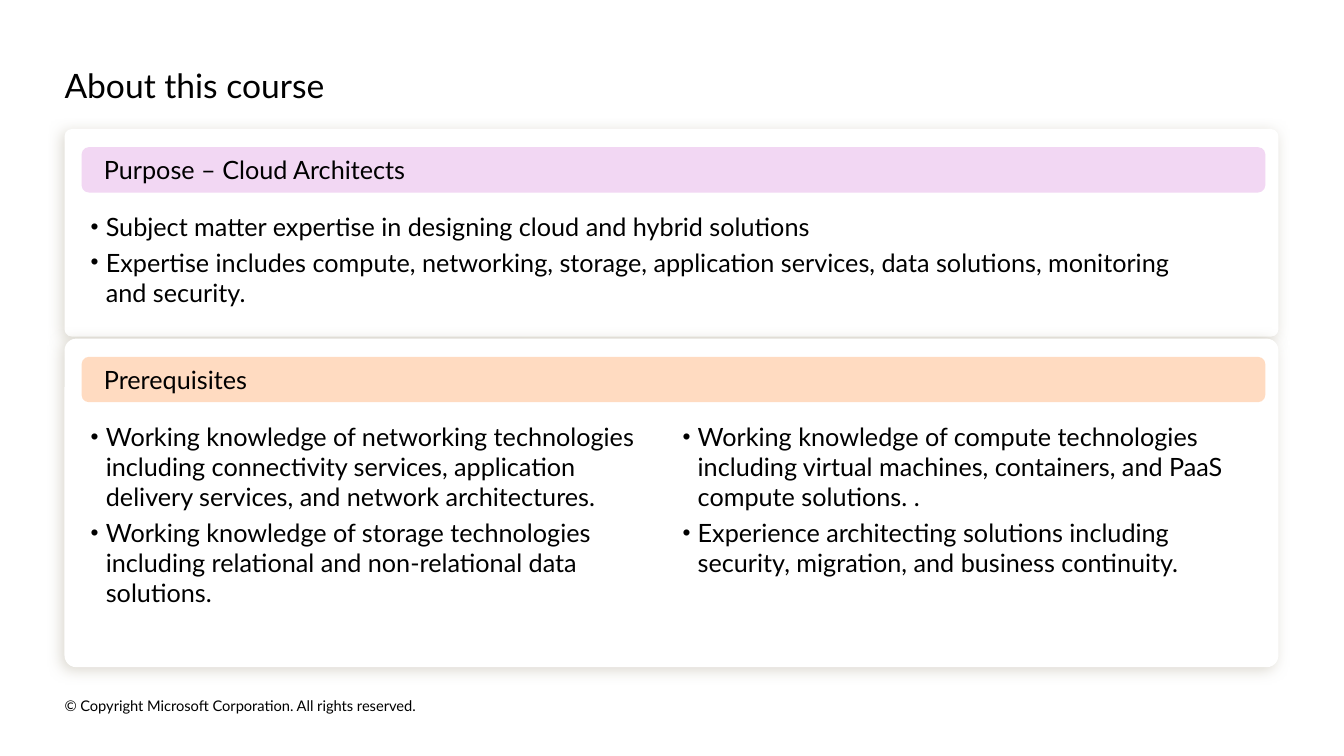
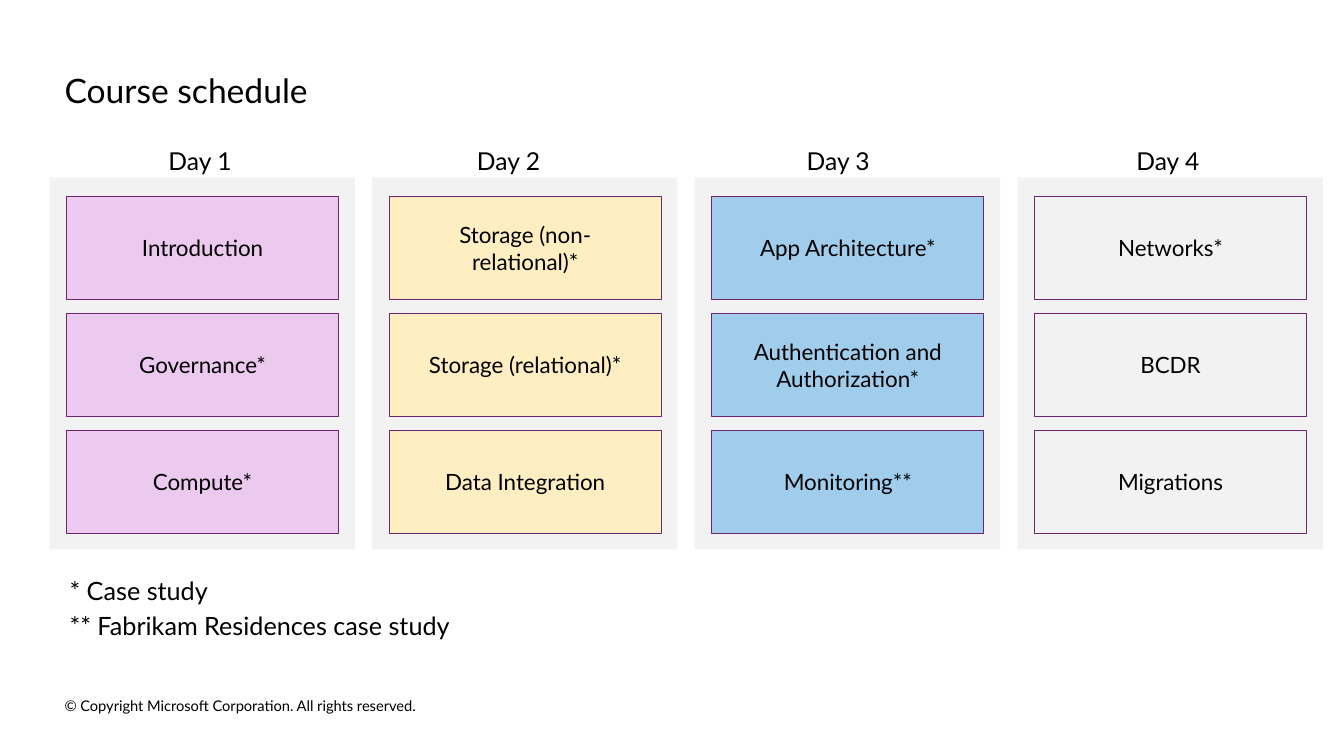
import lxml.etree
import pptx
import pptx.dml.color
import pptx.enum.shapes
import pptx.enum.text
import pptx.oxml
import pptx.oxml.ns
import pptx.util

RGBColor = pptx.dml.color.RGBColor
Shape = pptx.enum.shapes.MSO_SHAPE
Align = pptx.enum.text.PP_ALIGN
Anchor = pptx.enum.text.MSO_ANCHOR
qn = pptx.oxml.ns.qn

BLACK = RGBColor(0x00, 0x00, 0x00)
WHITE = RGBColor(0xFF, 0xFF, 0xFF)
GREY = RGBColor(0xF2, 0xF2, 0xF2)
PURPLE = RGBColor(0x70, 0x25, 0x73)
LILAC = RGBColor(0xEC, 0xC9, 0xEE)
PALE_LILAC = RGBColor(0xF2, 0xD7, 0xF3)
PEACH = RGBColor(0xFF, 0xDB, 0xC1)
CREAM = RGBColor(0xFE, 0xEE, 0xC1)
BLUE = RGBColor(0xA0, 0xCD, 0xEC)
SHADOW = RGBColor(0xCA, 0xC5, 0xB8)

FONT = "Lato"
COLUMNS, ROWS = 133.3, 75
CELL = pptx.util.Inches(0.1)
MARGIN = 6.4
PADDING = (2, 1.6)
FOOTER = "© Copyright Microsoft Corporation. All rights reserved."


def cells(count):
    return round(count * CELL)


def add_bullet(para):
    properties = para._p.get_or_add_pPr()
    properties.set("marL", str(cells(1.5)))
    properties.set("indent", str(cells(-1.5)))
    for tag, name, value in (
        ("a:buSzPct", "val", "90000"),
        ("a:buFont", "typeface", "Arial"),
        ("a:buChar", "char", "•"),
    ):
        lxml.etree.SubElement(properties, qn(tag)).set(name, value)


def write_text(frame, text, size=18, align=Align.LEFT, anchor=Anchor.TOP,
               padding=(0, 0), wrap=True, bullet=False,
               before=0, after=0, spacing=None):
    frame.word_wrap = wrap
    frame.vertical_anchor = anchor
    frame.margin_left = frame.margin_right = cells(padding[0])
    frame.margin_top = frame.margin_bottom = cells(padding[1])
    for index, line in enumerate(text.split("\n")):
        para = frame.add_paragraph() if index else frame.paragraphs[0]
        if bullet:
            add_bullet(para)
        para.alignment = align
        para.line_spacing = spacing
        para.space_before = pptx.util.Pt(before if index else 0)
        para.space_after = pptx.util.Pt(after)
        span = para.add_run()
        span.text = line
        span.font.name = FONT
        span.font.size = pptx.util.Pt(size)
        span.font.color.rgb = BLACK


class CourseDeck:
    def __init__(self):
        self.deck = pptx.Presentation()
        self.deck.slide_width = cells(COLUMNS)
        self.deck.slide_height = cells(ROWS)
        self.page = None

    def add_page(self, title, title_top=6.4):
        self.page = self.deck.slides.add_slide(self.deck.slide_layouts[6])
        self.add_text(title, MARGIN, title_top, 89.6, 4, size=24)
        self.add_text(FOOTER, MARGIN, 69.1, 67.7, 1.8, size=10.5)

    def add_text(self, text, left, top, width, height, **style):
        box = self.page.shapes.add_textbox(*map(cells, (left, top, width, height)))
        write_text(box.text_frame, text, **style)

    def add_block(self, left, top, width, height, fill, line=None, rounding=None):
        kind = Shape.RECTANGLE if rounding is None else Shape.ROUNDED_RECTANGLE
        block = self.page.shapes.add_shape(kind, *map(cells, (left, top, width, height)))
        block.shadow.inherit = False
        block.fill.solid()
        block.fill.fore_color.rgb = fill
        if rounding is not None:
            block.adjustments[0] = rounding
        if line is None:
            block.line.fill.background()
        else:
            block.line.color.rgb = line
            block.line.width = pptx.util.Pt(0.75)
        return block

    def add_card(self, text, left, top, width, height, fill):
        card = self.add_block(left, top, width, height, fill, line=PURPLE)
        write_text(card.text_frame, text, size=16, align=Align.CENTER,
                   anchor=Anchor.MIDDLE, padding=PADDING)

    def add_bullets(self, lines, left, top, width, height):
        self.add_text("\n".join(lines), left, top, width, height,
                      bullet=True, before=3.6)

    def add_soft_shadow(self, block):
        effects = block._element.spPr.find(qn("a:effectLst"))
        shadow = lxml.etree.SubElement(effects, qn("a:outerShdw"))
        shadow.set("blurRad", str(pptx.util.Pt(10)))
        shadow.set("dist", str(pptx.util.Pt(3)))
        shadow.set("dir", str(135 * 60000))
        shadow.set("algn", "tr")
        shadow.set("rotWithShape", "0")
        color = lxml.etree.SubElement(shadow, qn("a:srgbClr"))
        color.set("val", str(SHADOW))
        lxml.etree.SubElement(color, qn("a:alpha")).set("val", "64000")

    def add_section(self, heading, top, height, fill, columns):
        panel = self.add_block(MARGIN, top, 120.4, height, WHITE, rounding=0.036)
        self.add_soft_shadow(panel)
        band = self.add_block(8.1, top + 1.8, 117.4, 4.5, fill, rounding=0.16)
        write_text(band.text_frame, heading, anchor=Anchor.MIDDLE, padding=PADDING)
        for left, width, lines in columns:
            self.add_bullets(lines, left, top + 8.2, width, height - 10)

    def add_day(self, index, label_left, fill, topics):
        offset = index * 32
        self.add_text(f"Day {index + 1}", label_left, 14.5, 7.2, 3.5,
                      size=17.6, wrap=False)
        self.add_block(4.9 + offset, 17.6, 30.3, 36.9, GREY)
        for row, topic in enumerate(topics):
            self.add_card(topic, 6.6 + offset, 19.5 + row * 11.6, 27, 10.2, fill)


def main():
    course = CourseDeck()

    course.add_page("About this course")
    course.add_section("Purpose – Cloud Architects", 12.8, 20.6, PALE_LILAC, [
        (9, 111.3, [
            "Subject matter expertise in designing cloud and hybrid solutions",
            "Expertise includes compute, networking, storage, application services, "
            "data solutions, monitoring and security.",
        ]),
    ])
    course.add_section("Prerequisites", 33.6, 32.6, PEACH, [
        (9, 55.2, [
            "Working knowledge of networking technologies including connectivity "
            "services, application delivery services, and network architectures.",
            "Working knowledge of storage technologies including relational and "
            "non-relational data solutions.",
        ]),
        (67.7, 54.9, [
            "Working knowledge of compute technologies including virtual machines, "
            "containers, and PaaS compute solutions. .",
            "Experience architecting solutions including security, migration, and "
            "business continuity.",
        ]),
    ])

    course.add_page("Course schedule", title_top=6.9)
    days = [
        (16.7, LILAC, ["Introduction", "Governance*", "Compute*"]),
        (47.3, CREAM, ["Storage (non-relational)*", "Storage (relational)*",
                       "Data Integration"]),
        (80, BLUE, ["App Architecture*", "Authentication and Authorization*",
                    "Monitoring**"]),
        (112.7, GREY, ["Networks*", "BCDR", "Migrations"]),
    ]
    for index, day in enumerate(days):
        course.add_day(index, *day)
    course.add_text("* Case study\n** Fabrikam Residences case study",
                    4.9, 55.8, 42.1, 9.5, padding=PADDING, wrap=False,
                    spacing=0.9, after=6)

    course.deck.save("out.pptx")


if __name__ == "__main__":
    main()
